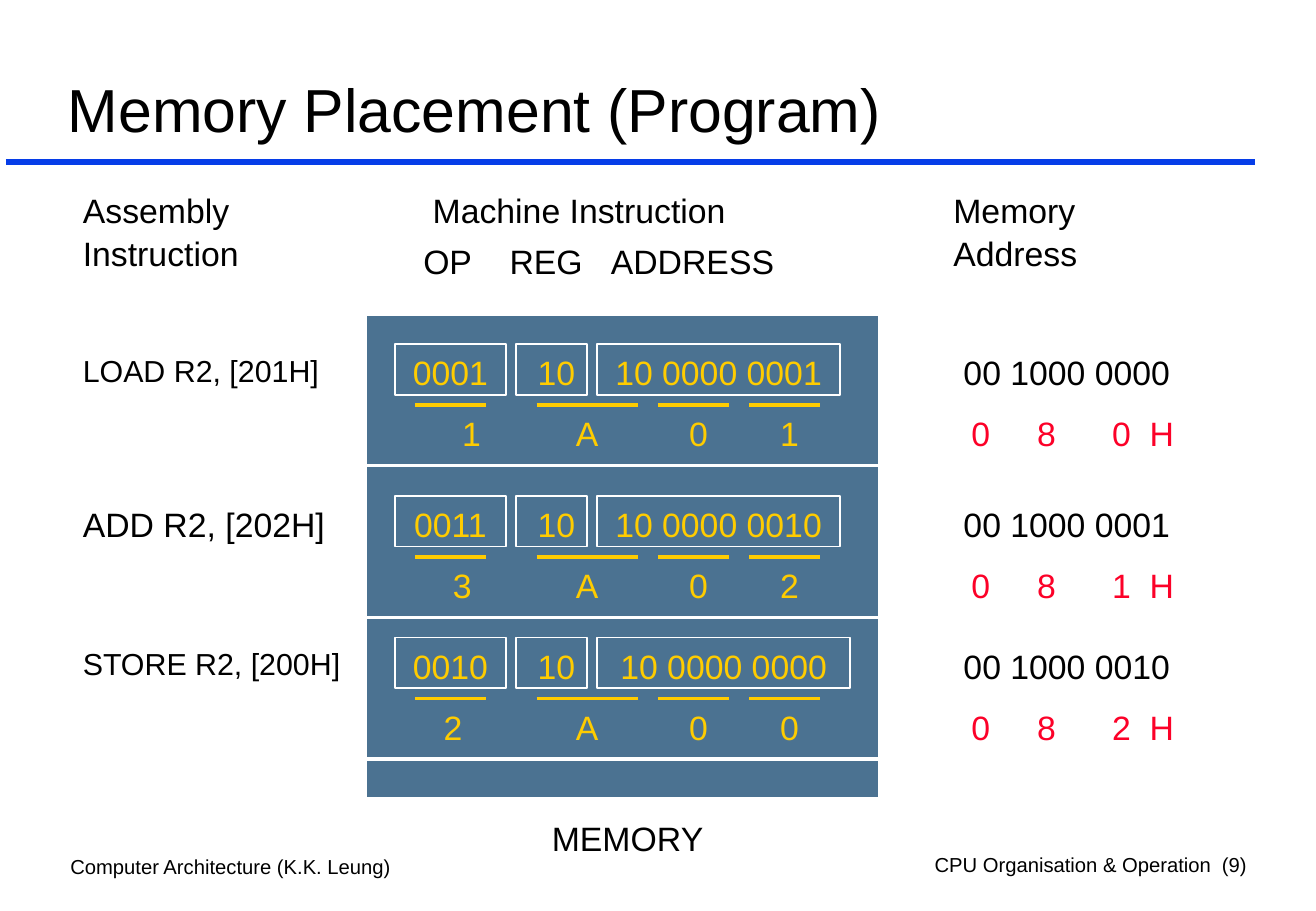
"""Build the slide on placing a program in memory."""
from dataclasses import dataclass

from pptx import Presentation
from pptx.dml.color import RGBColor
from pptx.enum import shapes, text
from pptx.oxml import xmlchemy
from pptx.oxml import ns
from pptx.util import Pt
from lxml import etree

LEFT, CENTER, RIGHT = text.PP_ALIGN.LEFT, text.PP_ALIGN.CENTER, text.PP_ALIGN.RIGHT


@dataclass(frozen=True)
class Theme:
    font: str = "Arial"
    title: int = 36
    body: int = 20
    small: int = 18
    footer: int = 12
    spacing: float = 1.05
    black: RGBColor = RGBColor(0, 0, 0)
    white: RGBColor = RGBColor(255, 255, 255)
    rule: RGBColor = RGBColor(0x06, 0x3D, 0xE8)
    memory: RGBColor = RGBColor(0x4B, 0x72, 0x91)
    code: RGBColor = RGBColor(0xFF, 0xCC, 0x00)
    address: RGBColor = RGBColor(0xFC, 0x01, 0x28)


THEME = Theme()
ROW_TOPS = (204, 294, 378)
ROWS = (
    ("LOAD R2, [201H]", THEME.small, ("0001", "10", "10 0000 0001"), 144,
     "1A01", 279.5, "00 1000 0000", "0\t8\t0\tH"),
    ("ADD R2, [202H]", THEME.body, ("0011", "10", "10 0000 0010"), 144,
     "3A02", 274, "00 1000 0001", "0\t8\t1\tH"),
    ("STORE R2, [200H]", THEME.small, ("0010", "10", "10 0000 0000"), 150,
     "2A00", 268.5, "00 1000 0010", "0\t8\t2\tH"),
)
UNDERLINES = ((246, 288), (318, 378), (390, 432), (444, 486))
DIGIT_CENTERS = (348, 414, 468)


def add_tabs(paragraph, positions):
    """Give a paragraph left tab stops at the positions."""
    properties = paragraph._p.get_or_add_pPr()
    tab_list = etree.SubElement(properties, ns.qn("a:tabLst"))
    for position in positions:
        etree.SubElement(tab_list, ns.qn("a:tab"), pos=str(Pt(position)), algn="l")


def style_paragraph(paragraph, size=THEME.body, color=THEME.black, align=LEFT,
                    spacing=THEME.spacing):
    """Set the font, alignment and line spacing of a paragraph."""
    paragraph.alignment = align
    paragraph.line_spacing = spacing
    paragraph.font.name = THEME.font
    paragraph.font.size = Pt(size)
    paragraph.font.color.rgb = color


def add_text(slide, box, content, tabs=(), **style):
    """Add a text box of one paragraph and return its frame."""
    frame = slide.shapes.add_textbox(*map(Pt, box)).text_frame
    frame.word_wrap = True
    paragraph = frame.paragraphs[0]
    paragraph.text = content
    if tabs:
        add_tabs(paragraph, tabs)
    style_paragraph(paragraph, **style)
    return frame


def add_box(slide, box, width, fill=None):
    """Add a rectangle with a white outline."""
    shape = slide.shapes.add_shape(shapes.MSO_SHAPE.RECTANGLE, *map(Pt, box))
    shape.shadow.inherit = False
    shape.line.color.rgb = THEME.white
    shape.line.width = Pt(width)
    if fill is None:
        shape.fill.background()
    else:
        shape.fill.solid()
        shape.fill.fore_color.rgb = fill
    return shape


def add_field(slide, box, bits, align):
    """Add an outlined instruction field with its bits."""
    frame = add_box(slide, box, 1).text_frame
    frame.vertical_anchor = text.MSO_ANCHOR.TOP
    frame.paragraphs[0].text = bits
    style_paragraph(frame.paragraphs[0], color=THEME.code, align=align)


def add_line(slide, start, end, y, color, width=2.25):
    """Add a horizontal line."""
    line = slide.shapes.add_connector(
        shapes.MSO_CONNECTOR.STRAIGHT, Pt(start), Pt(y), Pt(end), Pt(y))
    line.line.color.rgb = color
    line.line.width = Pt(width)
    etree.SubElement(line._element.spPr, ns.qn("a:effectLst"))


def add_title(slide, content):
    """Place and format the title."""
    title = slide.shapes.title
    title.left, title.top, title.width, title.height = map(Pt, (33, 22.5, 713, 67))
    title.text_frame.text = content
    title.text_frame.vertical_anchor = text.MSO_ANCHOR.BOTTOM
    style_paragraph(title.text_frame.paragraphs[0], size=THEME.title, spacing=1.0)


def add_headings(slide):
    """Add the column headings."""
    add_text(slide, (42, 108, 162, 54), "Assembly\vInstruction")
    add_text(slide, (558, 108, 108, 54), "Memory\vAddress")
    frame = add_text(slide, (243.8, 108, 272, 54), "Machine Instruction")
    frame.paragraphs[0]._p.get_or_add_pPr().set("marL", str(Pt(5.56)))
    fields = frame.add_paragraph()
    fields.text = "OP\tREG\tADDRESS"
    add_tabs(fields, (51.14, 111.16))
    style_paragraph(fields)
    fields.space_before = Pt(5)


def add_row(slide, top, row):
    """Add one instruction with its code and address."""
    assembly, size, bits, last_width, digits, first_center, address, hex_address = row
    digit_top = top + 36
    add_text(slide, (42, top, 180, 30), assembly, size=size)
    fields = zip(bits, (234, 306, 354), (66, 42, last_width), (CENTER, RIGHT, CENTER))
    for content, left, width, align in fields:
        add_field(slide, (left, top, width, 30), content, align)
    centers = (first_center, *DIGIT_CENTERS)
    for digit, center, (start, end) in zip(digits, centers, UNDERLINES):
        add_line(slide, start, end, digit_top, THEME.code)
        add_text(slide, (center - 18, digit_top, 36, 30), digit,
                 color=THEME.code, align=CENTER)
    add_text(slide, (564, top, 150, 30), address)
    add_text(slide, (568.7, digit_top, 140, 30), hex_address,
             tabs=(38.92, 83.4, 105.64), color=THEME.address)
    add_line(slide, 216, 714, top + 72, THEME.white)


def main():
    """Build and save the slide."""
    presentation = Presentation()
    presentation.slide_width, presentation.slide_height = Pt(780), Pt(540)
    slide = presentation.slides.add_slide(presentation.slide_layouts[5])
    add_line(slide, 3.5, 744, 96, THEME.rule, 4)
    add_text(slide, (34.6, 502, 266, 22), "Computer Architecture (K.K. Leung)",
             size=THEME.footer)
    add_text(slide, (546.9, 501, 205, 22), "CPU Organisation & Operation\t(9)",
             tabs=(170.3,), size=THEME.footer)
    add_title(slide, "Memory Placement (Program)")
    add_box(slide, (216, 186, 306, 288), 3, THEME.memory)
    add_headings(slide)
    for top, row in zip(ROW_TOPS, ROWS):
        add_row(slide, top, row)
    add_text(slide, (282, 480, 180, 30), "MEMORY", align=CENTER)
    presentation.save("out.pptx")


if __name__ == "__main__":
    main()
